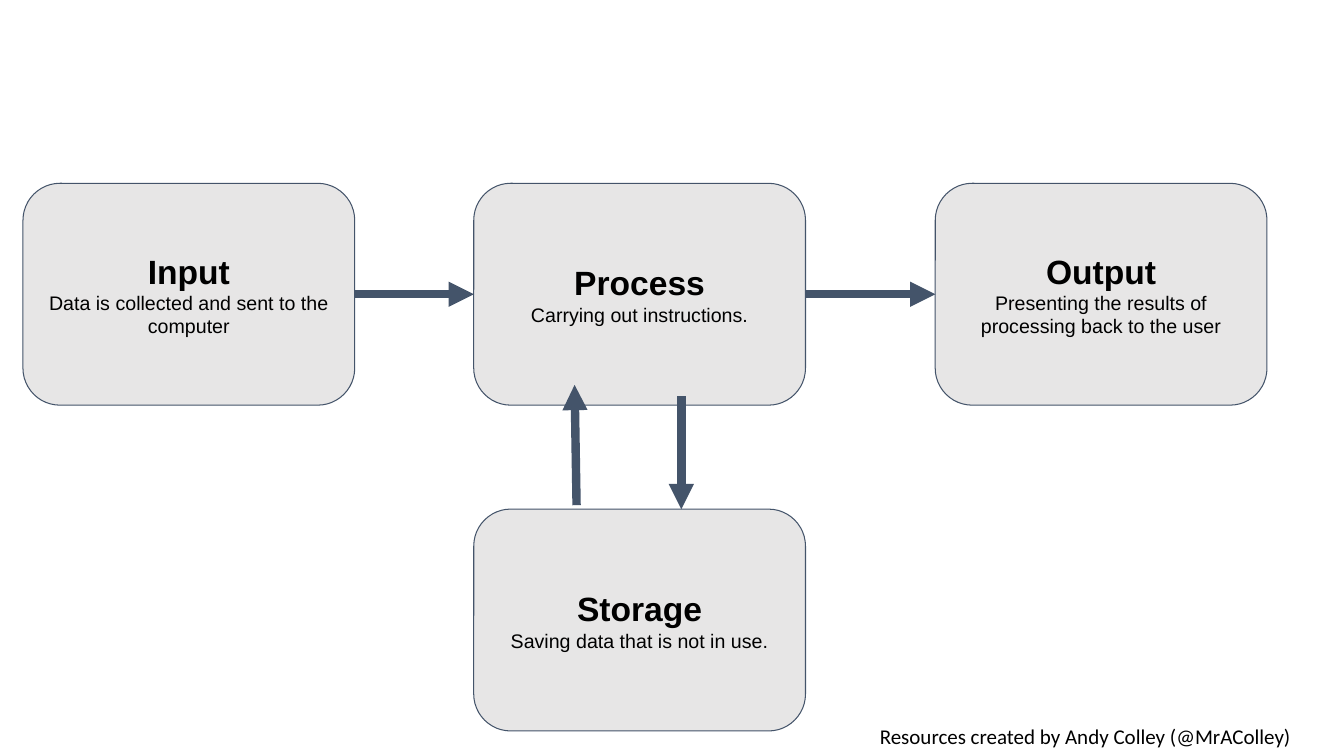
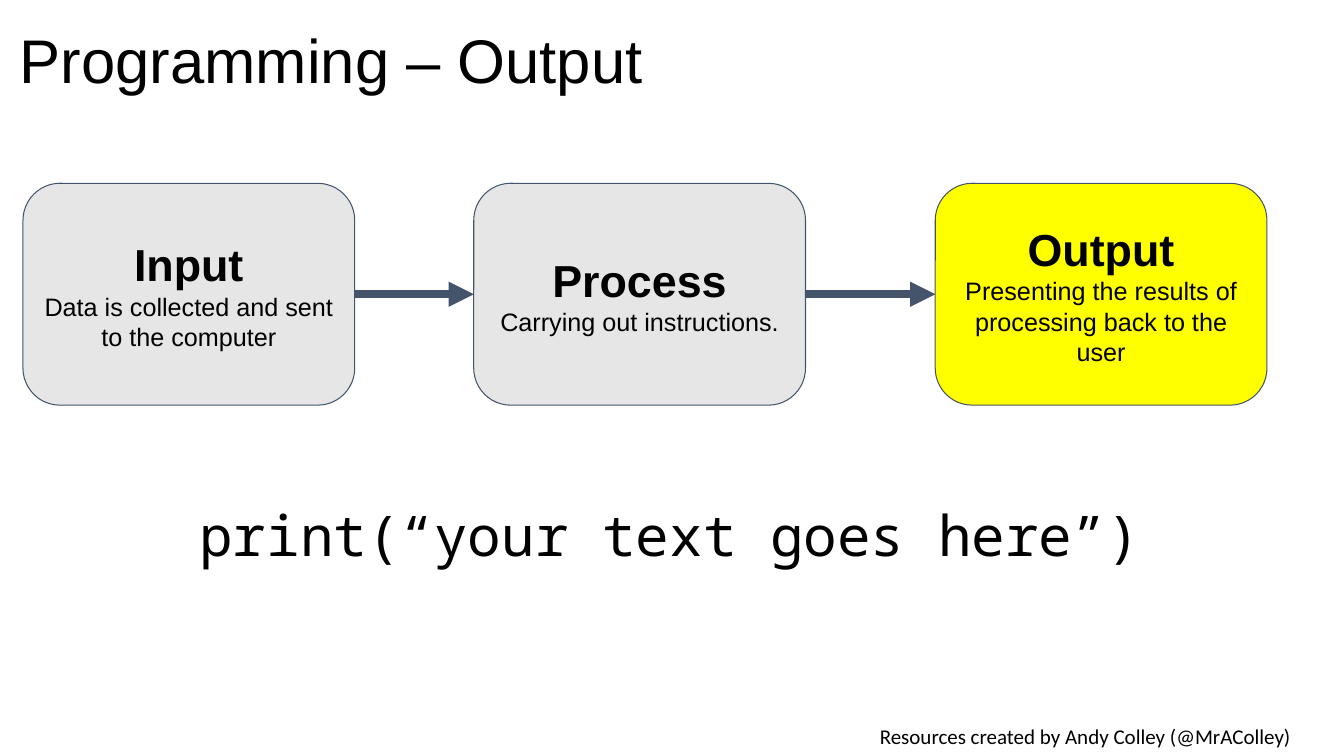
from lxml import etree
from pptx import Presentation
from pptx import util as u
from pptx.dml.color import RGBColor
from pptx.enum import shapes, text
from pptx.oxml.ns import qn

INK, SLATE, GREY, YELLOW = "000000", "44546A", "E7E6E6", "FFFF00"
INSET = 0.25

# Box grid, in cm
BOX_WIDTH, BOX_HEIGHT = 8.36, 5.59
COLUMNS = (0.58, 11.94, 23.57)
FLOW_TOP, STORAGE_TOP = 4.62, 12.83

FLOW = (
    ("Input", "Data is collected and sent to the computer"),
    ("Process", "Carrying out instructions."),
    ("Output", "Presenting the results of processing back to the user"),
)


def color(hex_value):
    return RGBColor.from_string(hex_value)


class Deck:
    """Holds the shared style and the current slide."""

    footer = "Resources created by Andy Colley (@MrAColley)"

    def __init__(self):
        self.presentation = Presentation()
        self.presentation.slide_width = u.Cm(33.87)
        self.presentation.slide_height = u.Cm(19.05)
        self.slide = None

    def new_slide(self, title=None):
        layout = self.presentation.slide_layouts[5 if title else 6]
        self.slide = self.presentation.slides.add_slide(layout)
        self.text_box(self.footer, (20.85, 18.03, 13, 1.02), name="Calibri", size=15)
        if title:
            self.title(title)

    def frame(self, shape, inset=INSET):
        """Set the wrapping, anchor and margins of a shape's text."""
        frame = shape.text_frame
        values = {"word_wrap": True, "auto_size": text.MSO_AUTO_SIZE.NONE,
                  "vertical_anchor": text.MSO_ANCHOR.MIDDLE}
        for side in ("left", "top", "right", "bottom"):
            values["margin_" + side] = u.Cm(inset)
        for key, value in values.items():
            setattr(frame, key, value)
        return frame

    def fill_paragraph(self, paragraph, words, align=text.PP_ALIGN.CENTER, **values):
        """Fill one paragraph; values are font attributes, size in points."""
        paragraph.text = words
        paragraph.alignment = align
        values = {"name": "Arial", "bold": False, **values}
        values["size"] = u.Pt(values["size"])
        for key, value in values.items():
            setattr(paragraph.font, key, value)
        paragraph.font.color.rgb = color(INK)

    def title(self, words):
        shape = self.slide.shapes.title
        shape.left, shape.top, shape.width, shape.height = map(u.Cm, (0.5, 0, 22.86, 3.18))
        paragraph = self.frame(shape, inset=0).paragraphs[0]
        self.fill_paragraph(paragraph, words, text.PP_ALIGN.LEFT, size=44)
        paragraph.line_spacing = 0.9

    def text_box(self, words, place, **values):
        shape = self.slide.shapes.add_textbox(*map(u.Cm, place))
        self.fill_paragraph(self.frame(shape).paragraphs[0], words, **values)

    def box(self, left, top, heading, detail, sizes, fill=GREY):
        shape = self.slide.shapes.add_shape(
            shapes.MSO_SHAPE.ROUNDED_RECTANGLE,
            *map(u.Cm, (left, top, BOX_WIDTH, BOX_HEIGHT)))
        shape.shadow.inherit = False
        shape.fill.solid()
        shape.fill.fore_color.rgb = color(fill)
        shape.line.color.rgb = color(SLATE)
        shape.line.width = u.Pt(0.75)
        frame = self.frame(shape)
        self.fill_paragraph(frame.paragraphs[0], heading, size=sizes[0], bold=True)
        self.fill_paragraph(frame.add_paragraph(), detail, size=sizes[1])
        return shape

    def arrow(self, start, end):
        connector = self.slide.shapes.add_connector(
            shapes.MSO_CONNECTOR.STRAIGHT, *map(u.Cm, (*start, *end)))
        connector.line.color.rgb = color(SLATE)
        connector.line.width = u.Pt(6)
        properties = connector._element.spPr
        etree.SubElement(properties.find(qn("a:ln")), qn("a:tailEnd"), type="triangle")
        etree.SubElement(properties, qn("a:effectLst"))
        return connector

    def flow(self, sizes, highlight=None):
        """Draw the row of boxes and join each to the next."""
        boxes = [
            self.box(left, FLOW_TOP, heading, detail, sizes,
                     YELLOW if heading == highlight else GREY)
            for left, (heading, detail) in zip(COLUMNS, FLOW)
        ]
        for source, target in zip(boxes, boxes[1:]):
            connector = self.arrow((0, 0), (0, 0))
            connector.begin_connect(source, 3)
            connector.end_connect(target, 1)


def main():
    deck = Deck()

    # Slide 1: the full model with storage
    sizes = (24, 14)
    deck.new_slide()
    deck.flow(sizes)
    deck.box(COLUMNS[1], STORAGE_TOP, "Storage", "Saving data that is not in use.", sizes)
    deck.arrow((14.53, 12.73), (14.48, 9.7))
    deck.arrow((17.17, 9.98), (17.17, STORAGE_TOP))

    # Slide 2: output and its command
    deck.new_slide("Programming – Output")
    deck.flow((32, 18), highlight="Output")
    deck.text_box("print(“your text goes here”)", (4.62, 12.47, 24.49, 1.96),
                  name="Noto Sans Mono", size=40)

    deck.presentation.save("out.pptx")


if __name__ == "__main__":
    main()
